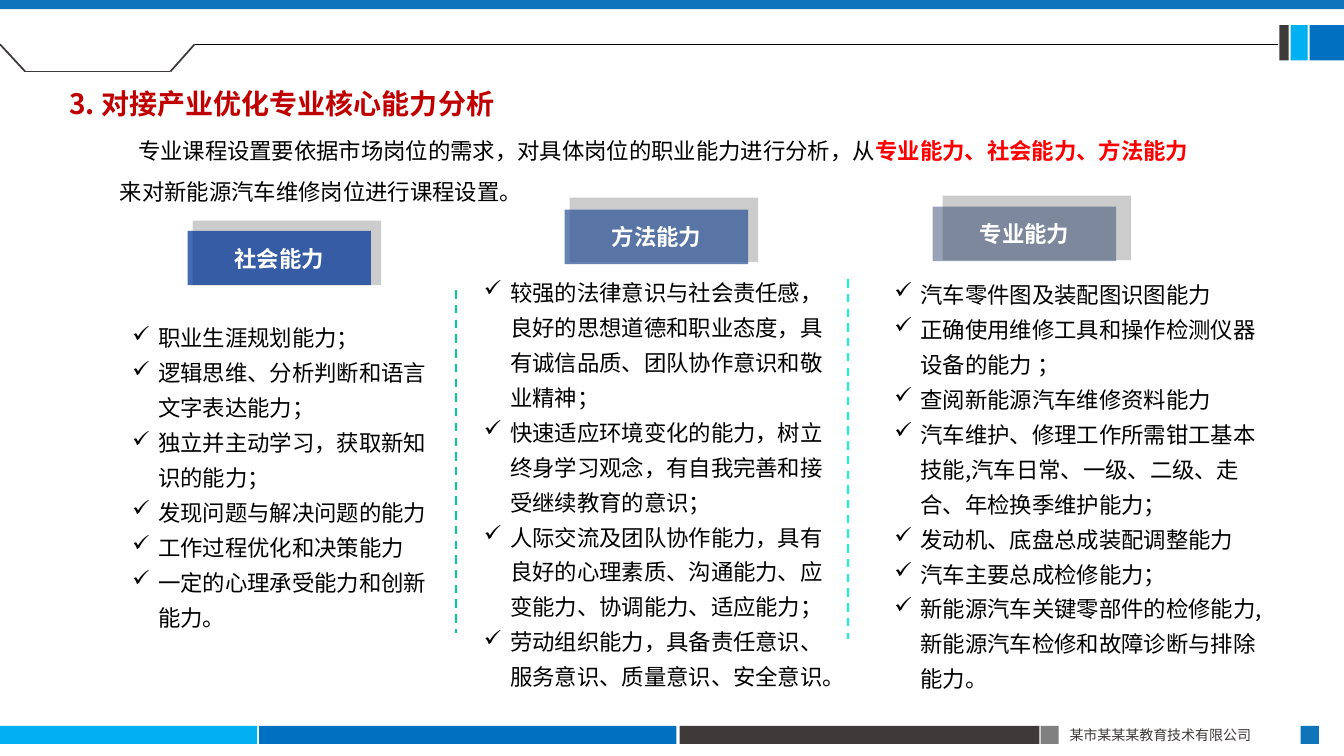
from lxml import etree
from pptx import Presentation
from pptx.dml.color import RGBColor
from pptx.enum.dml import MSO_LINE_DASH_STYLE as Dash
from pptx.enum.shapes import MSO_CONNECTOR, MSO_SHAPE
from pptx.enum.text import MSO_ANCHOR, MSO_AUTO_SIZE, PP_ALIGN
from pptx.oxml.ns import qn
from pptx.util import Inches, Pt

FONT = "Noto Sans CJK SC"
COLORS = {
    "sky": "00B0F0", "blue": "0070C0", "band": "1074BB", "dark": "3E3A39",
    "gray": "808080", "shadow": "CCCCCC", "black": "000000", "white": "FFFFFF",
    "title": "C00000", "red": "FF0000", "social": "003399", "method": "2F5597",
    "skill": "203864", "green": "00CC99", "mint": "00FFCC",
}

TITLE = "3. 对接产业优化专业核心能力分析"
INTRO = [
    ("专业课程设置要依据市场岗位的需求，对具体岗位的职业能力进行分析，从", "black", False),
    ("专业能力、社会能力、方法能力", "red", True),
    ("来对新能源汽车维修岗位进行课程设置。", "black", False),
]
FOOTER = "某市某某某教育技术有限公司"

# Bars: left, top, width, height, color
BARS = [
    (0, 7.2, 2.55, 0.18, "sky"),
    (2.57, 7.2, 4.14, 0.18, "blue"),
    (6.74, 7.2, 3.57, 0.18, "dark"),
    (10.32, 7.2, 0.18, 0.18, "gray"),
    (12.9, 7.2, 0.18, 0.18, "band"),
    (12.99, 0.25, 0.35, 0.35, "blue"),
    (12.8, 0.25, 0.17, 0.35, "sky"),
    (12.69, 0.25, 0.09, 0.35, "dark"),
    (0, 0, 13.33, 0.09, "band"),
]
# Header outline, left to right
HEADER_POINTS = [(0, 0.44), (0.25, 0.71), (1.69, 0.71), (1.93, 0.44)]
# Dividers: x, top, bottom, color
DIVIDERS = [(4.52, 2.88, 6.28, "green"), (8.41, 2.77, 6.34, "mint")]

COLUMNS = [
    {
        "label": "社会能力", "color": "social", "alpha": 73,
        "tag": (1.86, 2.29), "shadow": (1.91, 2.19), "list": (1.23, 3.1, 3.25, 3.23),
        "items": [
            "职业生涯规划能力；",
            "逻辑思维、分析判断和语言文字表达能力；",
            "独立并主动学习，获取新知识的能力；",
            "发现问题与解决问题的能力",
            "工作过程优化和决策能力",
            "一定的心理承受能力和创新能力。",
        ],
    },
    {
        "label": "方法能力", "color": "method", "alpha": 73,
        "tag": (5.6, 2.08), "shadow": (5.65, 1.96), "list": (4.72, 2.65, 3.54, 4.28),
        "items": [
            "较强的法律意识与社会责任感，良好的思想道德和职业态度，具有诚信品质、团队协作意识和敬业精神；",
            "快速适应环境变化的能力，树立终身学习观念，有自我完善和接受继续教育的意识；",
            "人际交流及团队协作能力，具有良好的心理素质、沟通能力、应变能力、协调能力、适应能力；",
            "劳动组织能力，具备责任意识、服务意识、质量意识、安全意识。",
        ],
    },
    {
        "label": "专业能力", "color": "skill", "alpha": 46,
        "tag": (9.25, 2.05), "shadow": (9.35, 1.94), "list": (8.79, 2.67, 3.75, 4.28),
        "items": [
            "汽车零件图及装配图识图能力",
            "正确使用维修工具和操作检测仪器设备的能力 ；",
            "查阅新能源汽车维修资料能力",
            "汽车维护、修理工作所需钳工基本技能,汽车日常、一级、二级、走合、年检换季维护能力；",
            "发动机、底盘总成装配调整能力",
            "汽车主要总成检修能力；",
            "新能源汽车关键零部件的检修能力,新能源汽车检修和故障诊断与排除能力。",
        ],
    },
]
TAG_SIZE = (1.82, 0.54)
SHADOW_SIZE = (1.87, 0.64)


def rgb(name):
    return RGBColor.from_string(COLORS[name])


def style_span(span, size, color, bold=False):
    font = span.font
    font.size, font.bold, font.name = Pt(size), bold, FONT
    font.color.rgb = rgb(color)
    east = etree.SubElement(span._r.get_or_add_rPr(), qn("a:ea"))
    east.set("typeface", FONT)


def add_span(para, text, size, color, bold=False):
    span = para.add_run()
    span.text = text
    style_span(span, size, color, bold)


def set_indent(para, left, first):
    props = para._p.get_or_add_pPr()
    props.set("marL", str(Inches(left)))
    props.set("indent", str(Inches(first)))
    return props


def set_insets(frame, side, end):
    frame.margin_left = frame.margin_right = Inches(side)
    frame.margin_top = frame.margin_bottom = Inches(end)


def add_rect(page, left, top, width, height, color, alpha=None):
    rect = page.shapes.add_shape(MSO_SHAPE.RECTANGLE, *map(Inches, (left, top, width, height)))
    rect.shadow.inherit = False
    rect.fill.solid()
    rect.fill.fore_color.rgb = rgb(color)
    rect.line.fill.background()
    if alpha is not None:
        tint = rect._element.spPr.find(qn("a:solidFill"))[0]
        etree.SubElement(tint, qn("a:alpha")).set("val", str(alpha * 1000))
    return rect


def add_line(page, start, end, color, width, dash=None):
    line = page.shapes.add_connector(MSO_CONNECTOR.STRAIGHT, *map(Inches, (*start, *end)))
    line.line.color.rgb = rgb(color)
    line.line.width = Pt(width)
    if dash:
        line.line.dash_style = dash
    etree.SubElement(line._element.spPr, qn("a:effectLst"))


def add_text(page, area, side=0.08, end=0.04):
    frame = page.shapes.add_textbox(*map(Inches, area)).text_frame
    frame.word_wrap = True
    frame.auto_size = MSO_AUTO_SIZE.SHAPE_TO_FIT_TEXT
    set_insets(frame, side, end)
    return frame


def add_column(page, column):
    # Label with its offset backing
    add_rect(page, *column["shadow"], *SHADOW_SIZE, "shadow")
    tag = add_rect(page, *column["tag"], *TAG_SIZE, column["color"], column["alpha"])
    frame = tag.text_frame
    frame.vertical_anchor = MSO_ANCHOR.MIDDLE
    set_insets(frame, 0.08, 0.04)
    frame.paragraphs[0].alignment = PP_ALIGN.CENTER
    add_span(frame.paragraphs[0], column["label"], 16, "white", True)

    # Checked list
    frame = add_text(page, column["list"])
    frame.text = "\n".join(column["items"])
    for para in frame.paragraphs:
        props = set_indent(para, 0.26, -0.26)
        para.line_spacing = 1.3
        etree.SubElement(props, qn("a:buChar")).set("char", "✓")
        style_span(para.runs[0], 16, "black")


def main():
    deck = Presentation()
    deck.slide_width, deck.slide_height = Inches(13.33), Inches(7.5)
    page = deck.slides.add_slide(deck.slide_layouts[6])

    # Frame of the page
    for bar in BARS:
        add_rect(page, *bar)
    for start, end in zip(HEADER_POINTS, HEADER_POINTS[1:]):
        add_line(page, start, end, "dark", 1.25)
    add_line(page, HEADER_POINTS[-1], (12.68, 0.44), "black", 0.5)
    para = add_text(page, (10.51, 7.16, 2.4, 0.27), 0.1, 0.05).paragraphs[0]
    para.alignment = PP_ALIGN.JUSTIFY
    add_span(para, FOOTER, 10, "dark")

    # Title and introduction
    para = add_text(page, (0.2, 0.64, 5.34, 0.55), 0.1, 0.05).paragraphs[0]
    set_indent(para, 0, 0.39)
    para.line_spacing = 1.5
    add_span(para, TITLE, 20, "title", True)
    para = add_text(page, (1.11, 1.19, 10.97, 0.89)).paragraphs[0]
    set_indent(para, 0, 0.18)
    para.line_spacing, para.space_after = 1.5, Pt(9.3)
    for text, color, bold in INTRO:
        add_span(para, text, 16, color, bold)

    # Ability columns and dividers
    for column in COLUMNS:
        add_column(page, column)
    for x, top, bottom, color in DIVIDERS:
        add_line(page, (x, top), (x, bottom), color, 1.5, Dash.DASH)

    deck.save("out.pptx")


if __name__ == "__main__":
    main()
